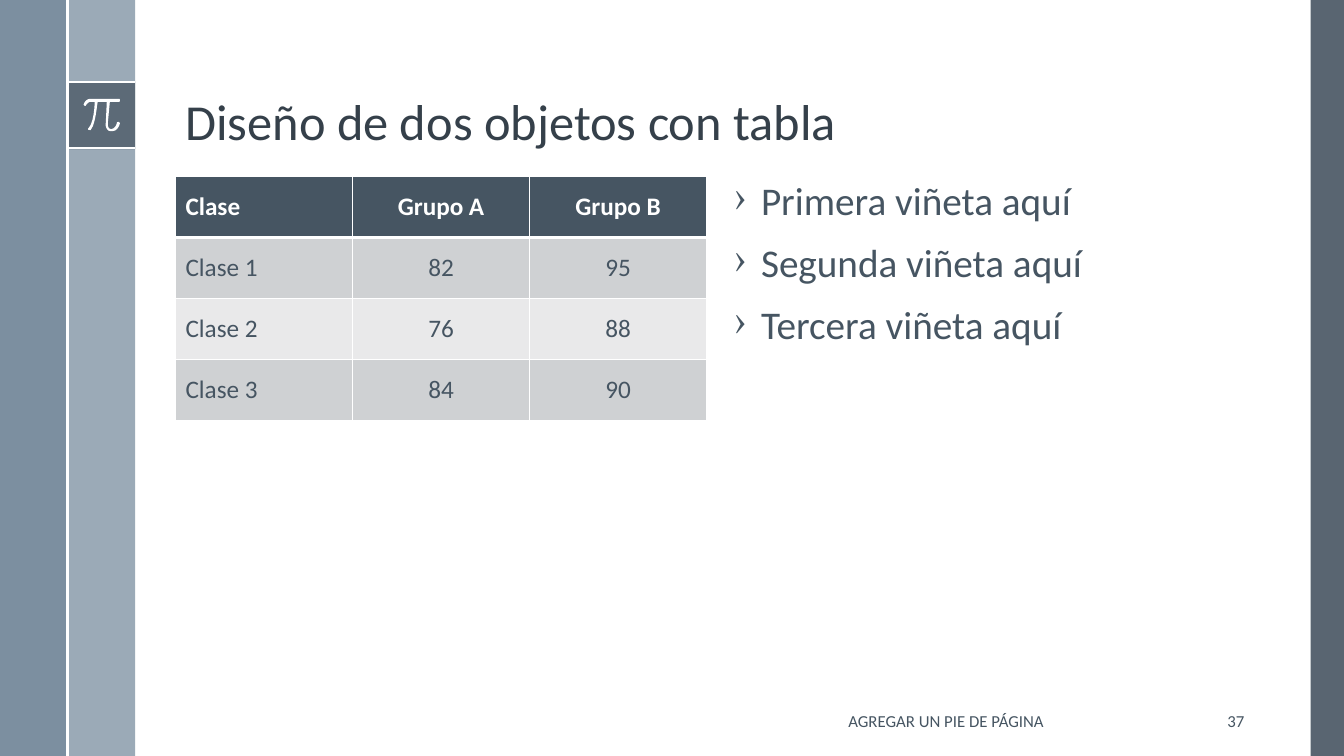
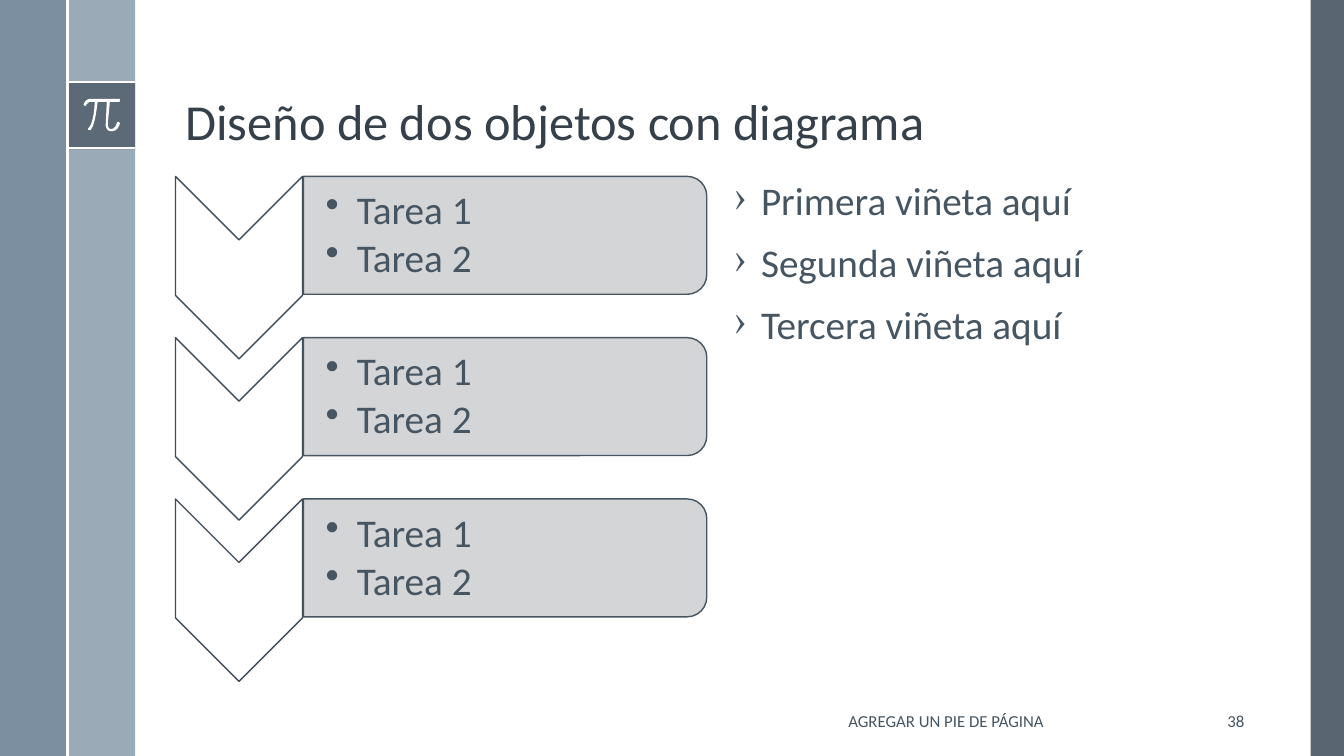
from dataclasses import dataclass

from lxml.etree import SubElement
from pptx import Presentation
from pptx.dml.color import RGBColor
from pptx.enum.shapes import MSO_CONNECTOR as Connector, MSO_SHAPE as Shape
from pptx.enum.text import MSO_ANCHOR as Anchor, PP_ALIGN as Align
from pptx.oxml.ns import qn
from pptx.util import Inches, Pt


@dataclass(frozen=True)
class Theme:
    """Holds the colours and type sizes of the deck."""
    font: str = "Calibri"
    white: str = "FFFFFF"
    title: str = "35404A"
    text: str = "465562"
    edge: str = "404D59"
    slate: str = "475562"
    steel: str = "6A8093"
    mist: str = "9BAAB7"
    row_dark: str = "CFD1D3"
    row_light: str = "E9E9EA"
    title_size: int = 36
    body_size: int = 28
    table_size: int = 18
    footer_size: int = 12


THEME = Theme()
WIDTH, HEIGHT = 13.33, 7.5
LEFT, TOP = 1.74, 1.75
STRIP = 0.67
BADGE_TOP = 0.81
FOOTER = "AGREGAR UN PIE DE PÁGINA"
BULLETS = ["Primera viñeta aquí", "Segunda viñeta aquí", "Tercera viñeta aquí"]
TASKS = ["Tarea 1", "Tarea 2"]
SCORES = [
    ["Clase", "Grupo A", "Grupo B"],
    ["Clase 1", "82", "95"],
    ["Clase 2", "76", "88"],
    ["Clase 3", "84", "90"],
]
PI_ORIGIN = (0.83, 0.98)
PI_OUTLINE = [
    (35, 0), (7, 0), (2, 0, 0, 5, 0, 6), (1, 7), (2, 7),
    (2, 7, 4, 3, 7, 3), (11, 3), (11, 7, 10, 24, 5, 29),
    (4, 30, 4, 31, 6, 31), (7, 31), (12, 25, 13, 7, 14, 3), (23, 3),
    (22, 24), (22, 24, 21, 28, 24, 31), (25, 32, 26, 32, 27, 32), (29, 32),
    (34, 32, 36, 25, 36, 24), (35, 23), (34, 23, 33, 23, 33, 24),
    (33, 24, 32, 29, 28, 30), (27, 30, 26, 30, 25, 29),
    (24, 28, 24, 25, 24, 24), (26, 3), (35, 3), (36, 3, 36, 2, 36, 2),
    (36, 1, 36, 0, 35, 0),
]


def rgb(color):
    """Turns a hex string into a colour."""
    return RGBColor.from_string(color)


def write_text(frame, lines, *, size, color=THEME.text, bold=False,
               align=Align.LEFT, spacing=1.0, before=0, after=0,
               bullet=None, indent=0):
    """Fills a text frame with one formatted paragraph per line."""
    for index, line in enumerate(lines):
        para = frame.add_paragraph() if index else frame.paragraphs[0]
        if bullet:
            props = para._p.get_or_add_pPr()
            props.set("marL", str(Inches(indent)))
            props.set("indent", str(-Inches(indent)))
            SubElement(props, qn("a:buChar"), char=bullet)
        para.alignment = align
        para.line_spacing = spacing
        para.space_before = Pt(before if index else 0)
        para.space_after = Pt(after)
        span = para.add_run()
        span.text = line
        span.font.name = THEME.font
        span.font.size = Pt(size)
        span.font.bold = bold
        span.font.color.rgb = rgb(color)


def trace(outline, steps=6):
    """Flattens lines and cubic curves into a list of points."""
    points = [outline[0]]
    for x1, y1, *rest in outline[1:]:
        if not rest:
            points.append((x1, y1))
            continue
        x0, y0 = points[-1]
        x2, y2, x3, y3 = rest
        for step in range(1, steps + 1):
            t = step / steps
            u = 1 - t
            weights = (u ** 3, 3 * u * u * t, 3 * u * t * t, t ** 3)
            points.append(tuple(
                sum(w * value for w, value in zip(weights, values))
                for values in ((x0, x1, x2, x3), (y0, y1, y2, y3))))
    return points


class Deck:
    """Draws styled elements on the current slide."""

    def __init__(self):
        """Starts an empty widescreen deck."""
        self.file = Presentation()
        self.file.slide_width = Inches(WIDTH)
        self.file.slide_height = Inches(HEIGHT)
        self.page = None

    def add_page(self, title, number):
        """Adds a slide with its bands, badge, title and footer."""
        self.page = self.file.slides.add_slide(self.file.slide_layouts[6])
        self.shape(WIDTH - 0.33, 0, 0.33, HEIGHT, THEME.slate, opacity=90)
        self.shape(STRIP, 0, STRIP, HEIGHT, THEME.mist)
        self.shape(0, 0, STRIP, HEIGHT, THEME.steel, opacity=88)
        self.shape(STRIP, BADGE_TOP, STRIP, STRIP, THEME.slate, opacity=75)
        for y in (BADGE_TOP, BADGE_TOP + STRIP - 0.01):
            self.rule(STRIP, y, 2 * STRIP, y)
        self.pi_sign()
        self.rule(STRIP, 0, STRIP, HEIGHT)
        self.text(LEFT, 0.19, 10.7, 1.36, [title], anchor=Anchor.BOTTOM,
                  size=THEME.title_size, color=THEME.title, spacing=0.9)
        for left, width, line, align in (
                (7.21, 4.35, FOOTER, Align.CENTER),
                (11.77, 0.67, str(number), Align.RIGHT)):
            self.text(left, 6.95, width, 0.4, [line], anchor=Anchor.MIDDLE,
                      size=THEME.footer_size, align=align)

    def finish(self, shape, fill, line=None, opacity=100):
        """Sets fill, outline and opacity of a shape."""
        shape.shadow.inherit = False
        shape.fill.solid()
        shape.fill.fore_color.rgb = rgb(fill)
        if opacity < 100:
            color = next(shape.element.iter(qn("a:srgbClr")))
            SubElement(color, qn("a:alpha"), val=str(opacity * 1000))
        if line:
            shape.line.color.rgb = rgb(line)
            shape.line.width = Pt(1)
        else:
            shape.line.fill.background()

    def shape(self, left, top, width, height, fill, *, kind=Shape.RECTANGLE,
              line=None, opacity=100, turned=False):
        """Adds a preset shape, turned a quarter within its area if asked."""
        if turned:
            left += (width - height) / 2
            top += (height - width) / 2
            width, height = height, width
        shape = self.page.shapes.add_shape(
            kind, Inches(left), Inches(top), Inches(width), Inches(height))
        shape.rotation = 90 if turned else 0
        self.finish(shape, fill, line, opacity)

    def rule(self, x1, y1, x2, y2):
        """Adds a white straight line."""
        rule = self.page.shapes.add_connector(
            Connector.STRAIGHT, Inches(x1), Inches(y1), Inches(x2), Inches(y2))
        rule.line.color.rgb = rgb(THEME.white)
        rule.line.width = Pt(1.5)
        SubElement(rule.element.spPr, qn("a:effectLst"))

    def pi_sign(self):
        """Adds the pi sign of the badge."""
        left, top = PI_ORIGIN
        start, *points = [(Inches(left + x / 100), Inches(top + y / 100))
                          for x, y in trace(PI_OUTLINE)]
        builder = self.page.shapes.build_freeform(*start)
        builder.add_line_segments(points, close=True)
        self.finish(builder.convert_to_shape(), THEME.white)

    def text(self, left, top, width, height, lines, *, anchor=Anchor.TOP,
             insets=(0.1, 0.05, 0.1, 0.05), **style):
        """Adds a wrapping text box."""
        box = self.page.shapes.add_textbox(
            Inches(left), Inches(top), Inches(width), Inches(height))
        frame = box.text_frame
        frame.word_wrap = True
        frame.vertical_anchor = anchor
        (frame.margin_left, frame.margin_top,
         frame.margin_right, frame.margin_bottom) = map(Inches, insets)
        write_text(frame, lines, **style)

    def bullets(self, lines):
        """Adds the bullet list of the right column."""
        self.text(7.18, TOP, 5.27, 5, lines, size=THEME.body_size,
                  spacing=0.9, before=14, bullet="›", indent=0.27)

    def table(self, rows, left, top, width, height):
        """Adds a table with a dark header and alternating rows."""
        table = self.page.shapes.add_table(
            len(rows), len(rows[0]), Inches(left), Inches(top),
            Inches(width), Inches(height)).table
        for r, row in enumerate(rows):
            header = r == 0
            fill = (THEME.text if header
                    else THEME.row_dark if r % 2 else THEME.row_light)
            for c, value in enumerate(row):
                cell = table.cell(r, c)
                self.borders(cell, top=3 if r == 1 else 1,
                             bottom=3 if header else 1)
                cell.fill.solid()
                cell.fill.fore_color.rgb = rgb(fill)
                cell.vertical_anchor = Anchor.MIDDLE
                write_text(cell.text_frame, [value], size=THEME.table_size,
                           color=THEME.white if header else THEME.text,
                           bold=header,
                           align=Align.CENTER if c else Align.LEFT)

    def borders(self, cell, top, bottom):
        """Gives a table cell white borders."""
        props = cell._tc.get_or_add_tcPr()
        for side, width in (("L", 1), ("R", 1), ("T", top), ("B", bottom)):
            line = SubElement(props, qn(f"a:ln{side}"), w=str(Pt(width)))
            fill = SubElement(line, qn("a:solidFill"))
            SubElement(fill, qn("a:srgbClr"), val=THEME.white)

    def chevron_list(self, groups, step=1.6):
        """Adds a column of chevrons, each with a bar of tasks."""
        chevron_width, bar_height = 1.26, 1.17
        bar_left = LEFT + chevron_width + 0.01
        for index, tasks in enumerate(groups):
            top = TOP + index * step
            self.shape(LEFT, top, chevron_width, 1.81, THEME.white,
                       kind=Shape.CHEVRON, line=THEME.edge, turned=True)
            self.shape(bar_left, top, 4, bar_height, THEME.row_dark,
                       kind=Shape.ROUND_2_SAME_RECTANGLE, line=THEME.text,
                       opacity=90, turned=True)
            self.text(bar_left, top + 0.06, 3.94, bar_height - 0.11, tasks,
                      anchor=Anchor.MIDDLE, insets=(0.22, 0.02, 0.02, 0.02),
                      size=THEME.body_size, spacing=0.9, after=4,
                      bullet="•", indent=0.31)


def main():
    """Builds and saves the deck."""
    deck = Deck()
    deck.add_page("Diseño de dos objetos con tabla", 37)
    deck.table(SCORES, LEFT, TOP, 5.27, 2.42)
    deck.bullets(BULLETS)
    deck.add_page("Diseño de dos objetos con diagrama", 38)
    deck.chevron_list([TASKS] * 3)
    deck.bullets(BULLETS)
    deck.file.save("out.pptx")


if __name__ == "__main__":
    main()
